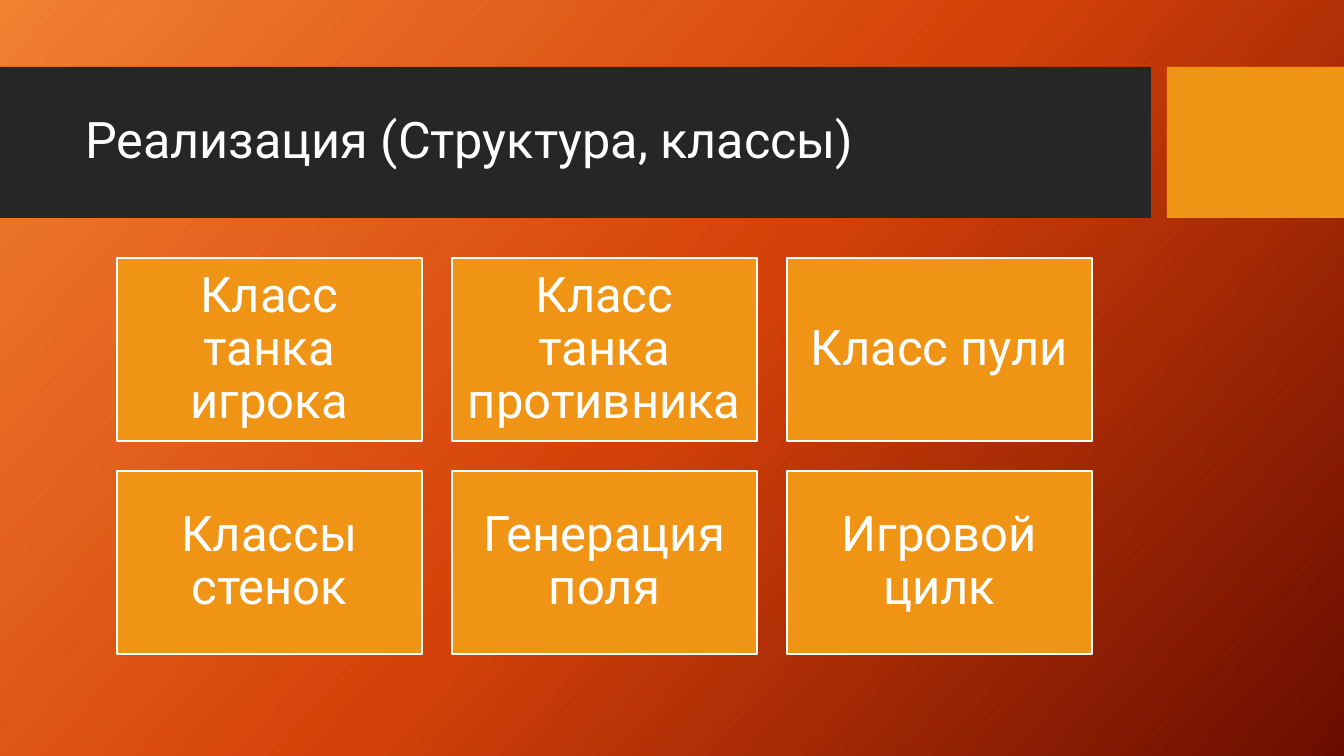
"""Builds the slide on game structure and classes."""
from copy import deepcopy

from pptx import Presentation
from pptx.dml.color import RGBColor
from pptx.enum.shapes import MSO_SHAPE as Shape
from pptx.enum.text import MSO_ANCHOR as Anchor, MSO_AUTO_SIZE as AutoSize, PP_ALIGN as Align
from pptx.oxml.ns import qn
from pptx.util import Pt

HEADING = "Реализация (Структура, классы)"
CLASSES = [
    ["Класс танка игрока", "Класс танка противника", "Класс пули"],
    ["Классы стенок", "Генерация поля", "Игровой цилк"],
]
COLORS = {"dark": "262626", "accent": "F09415", "white": "FFFFFF"}
BACKDROP = [(0, "F18031"), (0.5, "D54209"), (1, "6A0D00")]
BANDS = [((0, 67, 1151, 151), "dark"), ((1167, 67, 177, 151), "accent")]
HEADING_BOX = (75, 83, 1059, 119)
GRID_LEFT, GRID_TOP = 117, 258
CARD_WIDTH, CARD_HEIGHT, GAP = 305, 183, 30
CARD_INSET = 15
EMU_PER_PIXEL = 914400 / 100.8


def emu(pixels):
    return round(pixels * EMU_PER_PIXEL)


def rgb(name):
    return RGBColor.from_string(COLORS[name])


def set_all(target, values):
    for key, value in values.items():
        setattr(target, key, value)


def add_block(slide, box, fill):
    block = slide.shapes.add_shape(Shape.RECTANGLE, *map(emu, box))
    block.shadow.inherit = False
    block.fill.solid()
    block.fill.fore_color.rgb = rgb(fill)
    block.line.fill.background()
    return block


def write(holder, words, size, align, **frame_format):
    frame = holder.text_frame
    frame.text = words
    set_all(frame, {"word_wrap": True, "auto_size": AutoSize.NONE,
                    "vertical_anchor": Anchor.MIDDLE, **frame_format})
    paragraph = frame.paragraphs[0]
    set_all(paragraph, {"alignment": align, "line_spacing": 0.9})
    font = paragraph.runs[0].font
    set_all(font, {"name": "Roboto", "size": Pt(size)})
    font.color.rgb = rgb("white")


def paint_backdrop(slide):
    fill = slide.background.fill
    fill.gradient()
    fill.gradient_angle = 360 - 42
    stops = slide.element.find(".//" + qn("a:gsLst"))
    stops.append(deepcopy(stops[0]))
    for stop, (position, color) in zip(fill.gradient_stops, BACKDROP):
        stop.position = position
        stop.color.rgb = RGBColor.from_string(color)


deck = Presentation()
set_all(deck, {"slide_width": emu(1344), "slide_height": emu(756)})
slide = deck.slides.add_slide(deck.slide_layouts[5])
paint_backdrop(slide)

for box, fill in BANDS:
    add_block(slide, box, fill)

heading = slide.shapes.title
set_all(heading, dict(zip(("left", "top", "width", "height"), map(emu, HEADING_BOX))))
write(heading, HEADING, 36, Align.LEFT)
slide.shapes.element.append(heading.element)

insets = {f"margin_{side}": emu(CARD_INSET) for side in ("left", "top", "right", "bottom")}
for row, names in enumerate(CLASSES):
    for column, name in enumerate(names):
        left = GRID_LEFT + column * (CARD_WIDTH + GAP)
        top = GRID_TOP + row * (CARD_HEIGHT + GAP)
        card = add_block(slide, (left, top, CARD_WIDTH, CARD_HEIGHT), "accent")
        card.line.color.rgb = rgb("white")
        card.line.width = Pt(1)
        write(card, name, 35, Align.CENTER, **insets)

deck.save("out.pptx")
